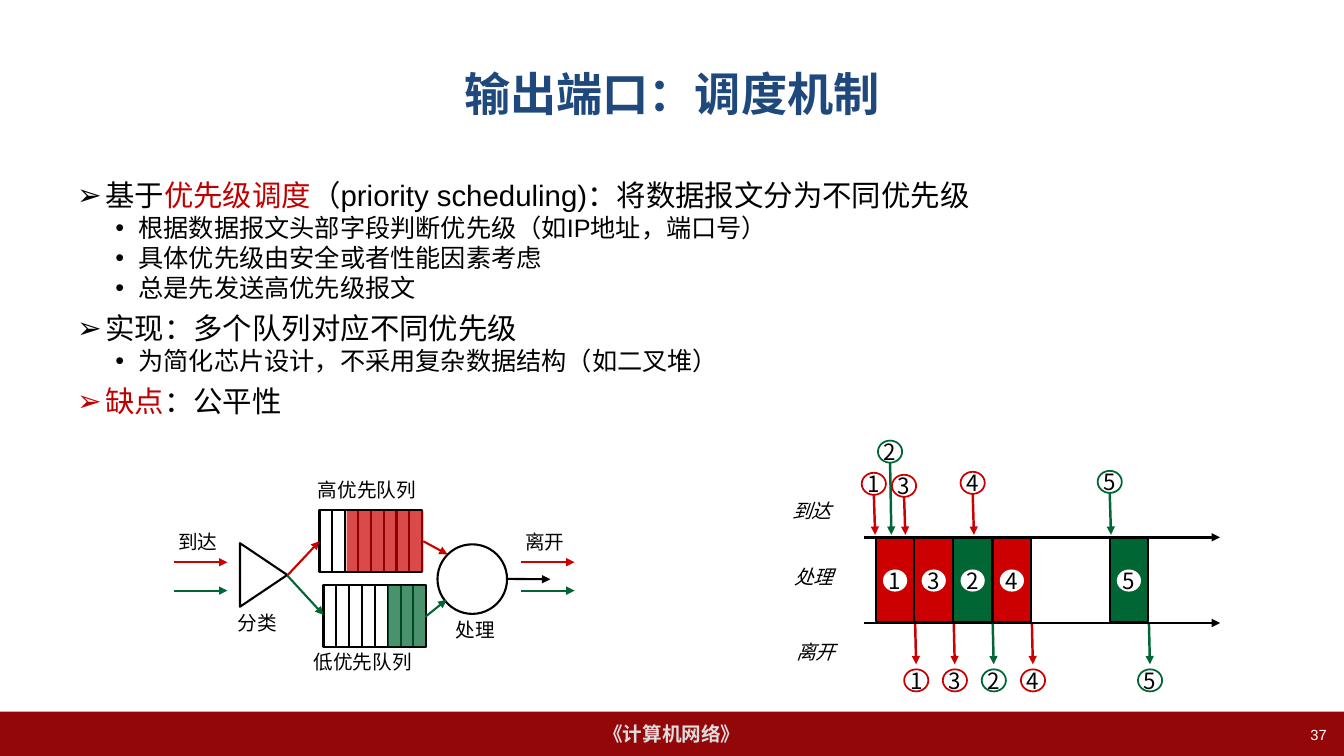
from lxml.etree import SubElement
from pptx import Presentation
from pptx.dml.color import RGBColor
from pptx.enum.shapes import MSO_CONNECTOR, MSO_SHAPE
from pptx.enum.text import MSO_ANCHOR, PP_ALIGN
from pptx.oxml.ns import qn
from pptx.util import Pt

BLACK, WHITE, RED, GREEN = "000000", "FFFFFF", "CC0000", "006633"
ACCENT = "C00000"
CJK = "Noto Sans CJK SC"

TITLE = "输出端口：调度机制"
BODY = [
    (0, [("基于", BLACK), ("优先级调度", ACCENT),
         ("（priority scheduling)：将数据报文分为不同优先级", BLACK)]),
    (1, [("根据数据报文头部字段判断优先级（如IP地址，端口号）", BLACK)]),
    (1, [("具体优先级由安全或者性能因素考虑", BLACK)]),
    (1, [("总是先发送高优先级报文", BLACK)]),
    (0, [("实现：多个队列对应不同优先级", BLACK)]),
    (1, [("为简化芯片设计，不采用复杂数据结构（如二叉堆）", BLACK)]),
    (0, [("缺点", ACCENT), ("：公平性", BLACK)]),
]
LEVELS = [
    {"size": 21, "margin": 20.25, "indent": -20.25, "before": 8.2, "bullet": "➢"},
    {"size": 18, "margin": 43.9, "indent": -16.5, "before": 1.9, "bullet": "•"},
]

QUEUES = [(231.1, 417.6, 46, 26.6, GREEN), (228.2, 364.3, 19.5, 54.7, RED)]
QUEUE_WIDTH, QUEUE_HEIGHT, QUEUE_SLOTS = 73.4, 44.6, 8
QUEUE_ARROWS = [
    (205.2, 411.1, 228.2, 386.6, RED), (205.2, 411.1, 231.1, 439.2, GREEN),
    (302.4, 386.6, 319.7, 396, RED), (303.8, 440.6, 319, 428.4, GREEN),
    (362.2, 413.5, 393.1, 413.8, BLACK),
]
FLOWS = [(401.6, RED), (421.9, GREEN)]
FLOW_STARTS = [124.2, 372.2]
QUEUE_LABELS = [
    ("高优先队列", 219.6, 337.7, 85), ("低优先队列", 216.7, 460.8, 85),
    ("到达", 120.2, 375.1, 42.5), ("分类", 162.7, 432.7, 42.5),
    ("离开", 367.9, 375.1, 42.5), ("处理", 318.2, 437.8, 42.5),
]

AXES = [383.8, 445]
PACKETS = [("1", 625.7, RED), ("3", 653.3, RED), ("2", 681.1, GREEN),
           ("4", 709.1, RED), ("5", 792.7, GREEN)]
ARRIVALS = [("5", 792.7, 344.2, GREEN), ("2", 635.8, 322.6, GREEN),
            ("1", 624.2, 345.6, RED), ("3", 645.8, 347, RED),
            ("4", 694.8, 344.9, RED)]
TIME_LABELS = [("到达", 558.7, 352.8), ("离开", 561.6, 453.6), ("处理", 560, 400.2)]
DISC_WIDTH, DISC_HEIGHT = 17.3, 15.8

deck = Presentation()
deck.slide_width, deck.slide_height = Pt(960), Pt(540)
page = deck.slides.add_slide(deck.slide_layouts[6])


def color(value):
    return RGBColor.from_string(value)


def add_span(para, text, size, ink, name=CJK, **extra):
    span = para.add_run()
    span.text = text
    for key, value in {"size": Pt(size), "name": name, **extra}.items():
        setattr(span.font, key, value)
    span.font.color.rgb = color(ink)
    SubElement(span.font._element, qn("a:ea")).set("typeface", CJK)


def add_label(text, x, y, width, height, size, ink, align=PP_ALIGN.CENTER,
              anchor=MSO_ANCHOR.TOP, wrap=False, **extra):
    box = page.shapes.add_textbox(Pt(x), Pt(y), Pt(width), Pt(height))
    box.text_frame.word_wrap = wrap
    box.text_frame.vertical_anchor = anchor
    para = box.text_frame.paragraphs[0]
    para.alignment = align
    add_span(para, text, size, ink, **extra)


def add_figure(kind, x, y, width, height, fill=None, line=None, weight=1.5, alpha=None):
    figure = page.shapes.add_shape(kind, Pt(x), Pt(y), Pt(width), Pt(height))
    figure.shadow.inherit = False
    if fill:
        figure.fill.solid()
        figure.fill.fore_color.rgb = color(fill)
    else:
        figure.fill.background()
    if alpha:
        tone = figure._element.spPr.find(qn("a:solidFill"))[0]
        SubElement(tone, qn("a:alpha")).set("val", str(alpha * 1000))
    if line:
        figure.line.color.rgb = color(line)
        figure.line.width = Pt(weight)
    else:
        figure.line.fill.background()
    return figure


def add_line(x1, y1, x2, y2, ink=BLACK, weight=1.5, arrow=True):
    line = page.shapes.add_connector(MSO_CONNECTOR.STRAIGHT, Pt(x1), Pt(y1), Pt(x2), Pt(y2))
    line.line.color.rgb = color(ink)
    line.line.width = Pt(weight)
    if arrow:
        SubElement(line.line._get_or_add_ln(), qn("a:tailEnd")).set("type", "triangle")
    SubElement(line._element.spPr, qn("a:effectLst"))


def add_disc(digit, x, y, line=None):
    disc = add_figure(MSO_SHAPE.OVAL, x - DISC_WIDTH / 2, y - DISC_HEIGHT / 2,
                      DISC_WIDTH, DISC_HEIGHT, WHITE, line, 1.25)
    frame = disc.text_frame
    for key in ("margin_left", "margin_right", "margin_top", "margin_bottom"):
        setattr(frame, key, 0)
    frame.word_wrap = False
    frame.vertical_anchor = MSO_ANCHOR.MIDDLE
    frame.paragraphs[0].alignment = PP_ALIGN.CENTER
    add_span(frame.paragraphs[0], digit, 16, BLACK)


def add_body():
    box = page.shapes.add_textbox(Pt(48), Pt(126), Pt(864), Pt(356.4))
    frame = box.text_frame
    frame.word_wrap = True
    for index, (level, spans) in enumerate(BODY):
        para = frame.add_paragraph() if index else frame.paragraphs[0]
        style = LEVELS[level]
        para.level = level
        para.line_spacing = 0.9
        para.space_before = Pt(style["before"] if index else 0)
        props = para._p.get_or_add_pPr()
        props.set("marL", str(Pt(style["margin"])))
        props.set("indent", str(Pt(style["indent"])))
        SubElement(props, qn("a:buFont")).set("typeface", "Arial")
        SubElement(props, qn("a:buChar")).set("char", style["bullet"])
        for text, ink in spans:
            add_span(para, text, style["size"], ink, "Arial")


def add_queues():
    for x, y, offset, width, ink in QUEUES:
        add_figure(MSO_SHAPE.RECTANGLE, x, y, QUEUE_WIDTH, QUEUE_HEIGHT, line=BLACK)
        for slot in range(1, QUEUE_SLOTS):
            edge = x + slot * QUEUE_WIDTH / QUEUE_SLOTS
            add_line(edge, y, edge, y + QUEUE_HEIGHT, arrow=False)
        add_figure(MSO_SHAPE.RECTANGLE, x + offset, y + 0.7, width, 43.2, ink, alpha=71)
    classifier = add_figure(MSO_SHAPE.ISOSCELES_TRIANGLE, 165.6, 393.8, 45.4, 33.8, line=BLACK)
    classifier.rotation = 90
    add_figure(MSO_SHAPE.OVAL, 312.5, 388.8, 49.7, 49.7, line=BLACK)
    for arrow in QUEUE_ARROWS:
        add_line(*arrow)
    for x in FLOW_STARTS:
        for y, ink in FLOWS:
            add_line(x, y, x + 38.2, y, ink)
    for text, x, y, width in QUEUE_LABELS:
        add_label(text, x, y, width, 24.5, 14, BLACK)


def add_timeline():
    for y in AXES:
        add_line(617, y, 871.5, y, weight=2)
    for digit, x, ink in PACKETS:
        add_figure(MSO_SHAPE.RECTANGLE, x, 384.5, 27.4, 59.5, ink, BLACK, 1.25)
        add_disc(digit, x + 13.7, 414.7)
        add_line(x + 28, 445.7, x + 28.7, 474.5, ink, 1.75)
        add_disc(digit, x + 28.8, 486, ink)
    for digit, x, y, ink in ARRIVALS:
        add_line(x, y + DISC_HEIGHT / 2, x + 0.9, 382, ink, 1.75)
        add_disc(digit, x, y, ink)
    for text, x, y in TIME_LABELS:
        add_label(text, x, y, 42.5, 24.5, 14, BLACK, italic=True)


footer = add_figure(MSO_SHAPE.RECTANGLE, 0, 508.3, 960, 31.7, "940709")
footer.text_frame.vertical_anchor = MSO_ANCHOR.MIDDLE
footer.text_frame.paragraphs[0].alignment = PP_ALIGN.CENTER
add_span(footer.text_frame.paragraphs[0], "《计算机网络》", 14, "DDDDDD", "Arial", bold=True)
add_label(TITLE, 48, 21.6, 864, 90, 33, "1F497D", anchor=MSO_ANCHOR.MIDDLE,
          wrap=True, name="Arial", bold=True)
add_body()
add_label("37", 730.8, 514.8, 223.9, 25.2, 10.5, WHITE, PP_ALIGN.RIGHT, wrap=True, name="Arial")
add_queues()
add_timeline()
deck.save("out.pptx")
